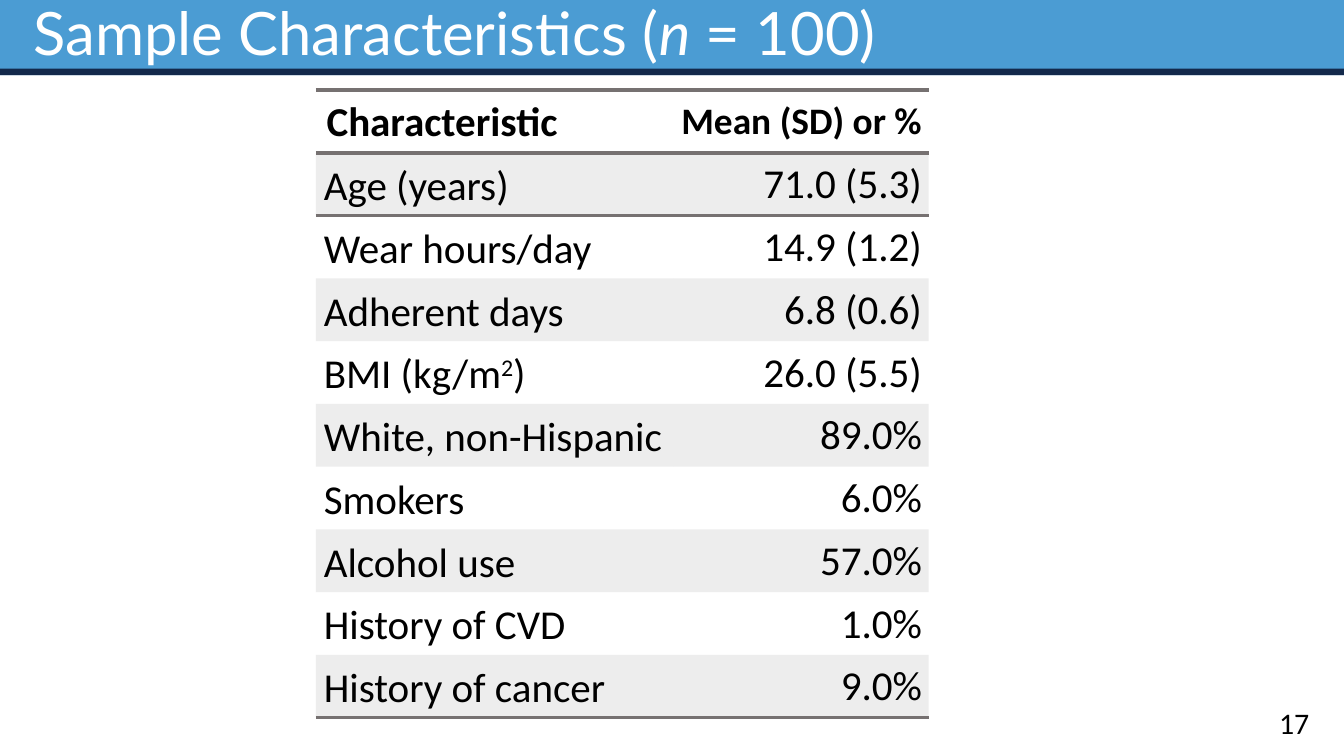
"""Build the sample characteristics slide."""
import pptx
import pptx.dml.color
import pptx.enum.shapes
import pptx.enum.text
import pptx.oxml
import pptx.oxml.ns
import pptx.util

Inches = pptx.util.Inches
Pt = pptx.util.Pt
ALIGN = pptx.enum.text.PP_ALIGN
MIDDLE = pptx.enum.text.MSO_ANCHOR.MIDDLE

COLORS = {
    "blue": "4B9CD3",
    "navy": "13294B",
    "white": "FFFFFF",
    "black": "000000",
    "rule": "767171",
    "band": "A5A5A5",
}
NO_STYLE = "{2D5ABB26-0587-4C30-8999-92F81FD0307C}"
ROWS = [
    ("Characteristic", "Mean (SD) or %"),
    ("Age (years)", "71.0 (5.3)"),
    ("Wear hours/day", "14.9 (1.2)"),
    ("Adherent days", "6.8 (0.6)"),
    ("BMI (kg/m|2|)", "26.0 (5.5)"),
    ("White, non-Hispanic", "89.0%"),
    ("Smokers", "6.0%"),
    ("Alcohol use", "57.0%"),
    ("History of CVD", "1.0%"),
    ("History of cancer", "9.0%"),
]


def color(name):
    """Return a named colour."""
    return pptx.dml.color.RGBColor.from_string(COLORS[name])


def write(para, text, size, face="Calibri", tint="black", bold=False):
    """Write text as runs split at each bar."""
    for part in text.split("|"):
        run = para.add_run()
        run.text = part
        run.font.size = Pt(size)
        run.font.name = face
        run.font.bold = bold
        run.font.color.rgb = color(tint)
    return para.runs


def add_bar(slide, top, height, tint):
    """Add a full-width bar."""
    bar = slide.shapes.add_shape(
        pptx.enum.shapes.MSO_SHAPE.RECTANGLE,
        0, Inches(top), Inches(10), Inches(height))
    bar.shadow.inherit = False
    bar.fill.solid()
    bar.fill.fore_color.rgb = color(tint)
    bar.line.fill.background()


def add_text(slide, left, top, width, height):
    """Add a text box and return its first paragraph."""
    box = slide.shapes.add_textbox(
        Inches(left), Inches(top), Inches(width), Inches(height))
    frame = box.text_frame
    frame.word_wrap = True
    frame.vertical_anchor = MIDDLE
    frame.margin_left = frame.margin_right = Inches(0.1)
    frame.margin_top = frame.margin_bottom = 0
    return frame.paragraphs[0]


def add_rule(cell, side):
    """Draw a rule on one side of a cell, before its fill is set."""
    names = pptx.oxml.ns.nsdecls("a")
    cell._tc.get_or_add_tcPr().append(pptx.oxml.parse_xml(
        f'<a:{side} {names} w="{Pt(2.25)}"><a:solidFill>'
        f'<a:srgbClr val="{COLORS["rule"]}"/></a:solidFill></a:{side}>'))


def shade(cell):
    """Fill a cell with the band colour at 20% opacity."""
    cell.fill.solid()
    cell.fill.fore_color.rgb = color("band")
    qn = pptx.oxml.ns.qn
    tint = cell._tc.tcPr.find(qn("a:solidFill") + "/" + qn("a:srgbClr"))
    tint.append(pptx.oxml.parse_xml(
        f'<a:alpha {pptx.oxml.ns.nsdecls("a")} val="20000"/>'))


def fill_cell(cell, row, col, text):
    """Set the text, rules and fill of one cell."""
    head = row == 0
    cell.vertical_anchor = MIDDLE
    cell.margin_left = cell.margin_top = Inches(0.01)
    cell.margin_right = Inches(0.05 if col else 0.01)
    cell.margin_bottom = 0
    para = cell.text_frame.paragraphs[0]
    if col:
        para.alignment = ALIGN.RIGHT
    else:
        props = para._p.get_or_add_pPr()
        props.set("marL", str(Inches(0.07 if head else 0.05)))
        props.set("indent", "0")
        if not head:
            para.line_spacing = 1.07
    runs = write(para, text, 20 if head and col else 22, bold=head)
    for run in runs[1:2]:
        run.font._element.set("baseline", "30000")
    if row < 2:
        add_rule(cell, "lnT")
    if row in (0, len(ROWS) - 1):
        add_rule(cell, "lnB")
    if row % 2:
        shade(cell)
    else:
        cell.fill.background()


def add_grid(slide):
    """Add the table of characteristics."""
    grid = slide.shapes.add_table(
        len(ROWS), 2, Inches(2.35), Inches(0.67),
        Inches(4.56), Inches(4.67)).table
    grid.first_row = grid.horz_banding = False
    grid._tbl.tblPr[0].text = NO_STYLE
    for col, width in zip(grid.columns, (2.66, 1.9)):
        col.width = Inches(width)
    for row, texts in enumerate(ROWS):
        for col, text in enumerate(texts):
            fill_cell(grid.cell(row, col), row, col, text)


def main():
    """Build and save the slide."""
    deck = pptx.Presentation()
    deck.slide_width = Inches(10)
    deck.slide_height = Inches(10) * 9 // 16
    slide = deck.slides.add_slide(deck.slide_layouts[6])
    add_bar(slide, 0, 0.56, "blue")
    add_bar(slide, 0.51, 0.05, "navy")
    title = add_text(slide, 0.15, 0.02, 9.7, 0.5)
    title.line_spacing = 0.9
    runs = write(title, "Sample Characteristics (|n| = 100)", 32, "Lato", "white")
    runs[1].font.italic = True
    add_grid(slide)
    number = add_text(slide, 7.59, 5.23, 2.25, 0.3)
    number.alignment = ALIGN.RIGHT
    write(number, "17", 16)
    deck.save("out.pptx")


if __name__ == "__main__":
    main()
